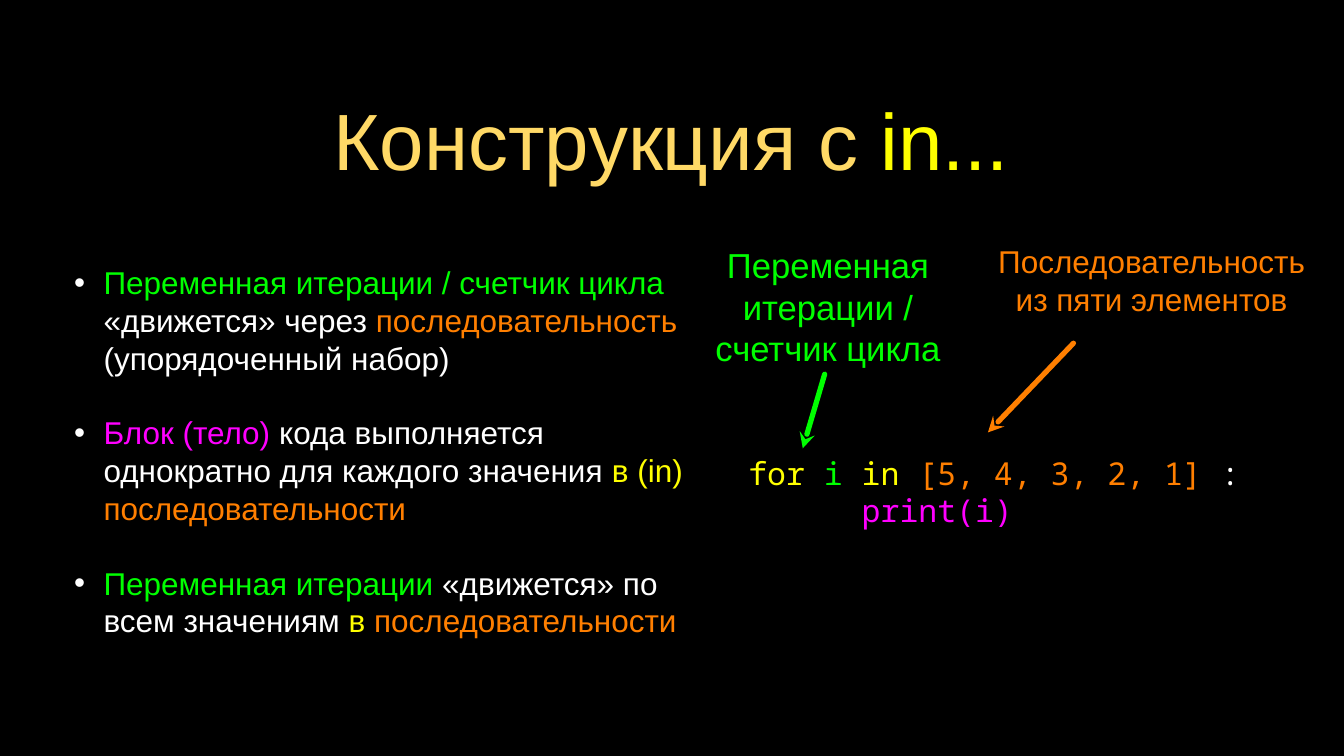
import pptx
import pptx.util
import pptx.dml.color
import pptx.enum.shapes
import pptx.enum.text
import pptx.oxml
import pptx.oxml.ns
from dataclasses import dataclass


@dataclass(frozen=True)
class Theme:
    back: str = "000000"
    title: str = "FFD966"
    plain: str = "FFFFFF"
    variable: str = "00FF00"
    sequence: str = "FF7F00"
    keyword: str = "FFFF00"
    block: str = "FF00FF"
    font: str = "Arial"
    mono: str = "Noto Sans Mono"
    title_size: int = 76
    label_size: int = 33
    text_size: int = 30
    arrow_width: int = 5
    leading: float = 1.2


T = Theme()
WIDTH, HEIGHT = 17.78, 10

TITLE = [[("Конструкция с ", T.title), ("in...", T.keyword)]]
BULLETS = [
    [("Переменная итерации / счетчик цикла ", T.variable),
     ("«движется» через ", T.plain),
     ("последовательность ", T.sequence),
     ("(упорядоченный набор)", T.plain)],
    [("Блок (тело) ", T.block),
     ("кода выполняется однократно для каждого значения ", T.plain),
     ("в (in) ", T.keyword),
     ("последовательности", T.sequence)],
    [("Переменная итерации ", T.variable),
     ("«движется» по всем значениям ", T.plain),
     ("в ", T.keyword),
     ("последовательности", T.sequence)],
]
CODE = [
    [("for ", T.keyword), ("i ", T.variable), ("in ", T.keyword),
     ("[5, 4, 3, 2, 1] ", T.sequence), (":", T.plain)],
    [("print(i)", T.block)],
]
VARIABLE = [[("Переменная итерации / счетчик цикла", T.variable)]]
SEQUENCE = [[("Последовательность из пяти элементов", T.sequence)]]

# Places are percentages of the slide's width and height.
TEXTS = [
    (TITLE, (7.09, 8.9, 85.71, 18.8), T.title_size, T.font, "center", 0.04),
    (BULLETS, (2.87, 28.5, 49.49, 62.4), T.text_size, T.font, "bullets", 0.04),
    (CODE, (55.68, 57.7, 39.15, 14.6), T.text_size, T.mono, "code", 0),
    (VARIABLE, (51.01, 31.6, 21.2, 17.9), T.label_size, T.font, "center", 0),
    (SEQUENCE, (73.23, 28.5, 24.92, 17), T.text_size, T.font, "center", 0),
]
ARROWS = [
    ((59.73, 59.3), (61.36, 49.5), T.variable),
    ((73.51, 57.2), (79.87, 45.4), T.sequence),
]


def place(*shares):
    return [pptx.util.Inches(share / 100 * (HEIGHT if i % 2 else WIDTH))
            for i, share in enumerate(shares)]


def rgb(color):
    return pptx.dml.color.RGBColor.from_string(color)


def element(xml):
    return pptx.oxml.parse_xml(
        xml.replace("/>", f" {pptx.oxml.ns.nsdecls('a')}/>", 1)
        if xml.endswith("/>") and xml.count("<") == 1
        else xml.replace(">", f" {pptx.oxml.ns.nsdecls('a')}>", 1))


def indent(p, left, first=0):
    pPr = p._p.get_or_add_pPr()
    pPr.set("marL", str(pptx.util.Inches(left)))
    pPr.set("indent", str(pptx.util.Inches(first)))
    return pPr


def add_text(s, paragraphs, box, size, font, style, inset):
    sp = s.shapes.add_textbox(*place(*box))
    tf = sp.text_frame
    tf.word_wrap = True
    tf.vertical_anchor = pptx.enum.text.MSO_ANCHOR.MIDDLE
    tf.margin_left = tf.margin_right = pptx.util.Inches(inset)
    tf.margin_top = tf.margin_bottom = pptx.util.Inches(inset)
    for i, runs in enumerate(paragraphs):
        p = tf.add_paragraph() if i else tf.paragraphs[0]
        p.line_spacing = pptx.util.Pt(size * T.leading)
        p.alignment = (pptx.enum.text.PP_ALIGN.CENTER if style == "center"
                       else pptx.enum.text.PP_ALIGN.LEFT)
        if style == "bullets":
            p.space_before = pptx.util.Pt(35 if i else 0)
            pPr = indent(p, 0.82, -0.39)
            pPr.append(element(
                f'<a:buClr><a:srgbClr val="{T.plain}"/></a:buClr>'))
            pPr.append(element('<a:buFont typeface="Arial"/>'))
            pPr.append(element('<a:buChar char="•"/>'))
        elif style == "code" and i:
            indent(p, 1.5)
        for text, color in runs:
            r = p.add_run()
            r.text = text
            r.font.size = pptx.util.Pt(size)
            r.font.name = font
            r.font.color.rgb = rgb(color)


def add_arrow(s, tip, tail, color):
    line = s.shapes.add_connector(
        pptx.enum.shapes.MSO_CONNECTOR.STRAIGHT, *place(*tip, *tail))
    line.line.color.rgb = rgb(color)
    line.line.width = pptx.util.Pt(T.arrow_width)
    ln = line.line._get_or_add_ln()
    ln.set("cap", "rnd")
    ln.append(element('<a:headEnd type="stealth"/>'))
    line._element.spPr.append(element("<a:effectLst/>"))


def main():
    prs = pptx.Presentation()
    prs.slide_width = pptx.util.Inches(WIDTH)
    prs.slide_height = pptx.util.Inches(HEIGHT)
    s = prs.slides.add_slide(prs.slide_layouts[6])
    s.background.fill.solid()
    s.background.fill.fore_color.rgb = rgb(T.back)
    for text in TEXTS:
        add_text(s, *text)
    for arrow in ARROWS:
        add_arrow(s, *arrow)
    prs.save("out.pptx")


if __name__ == "__main__":
    main()
